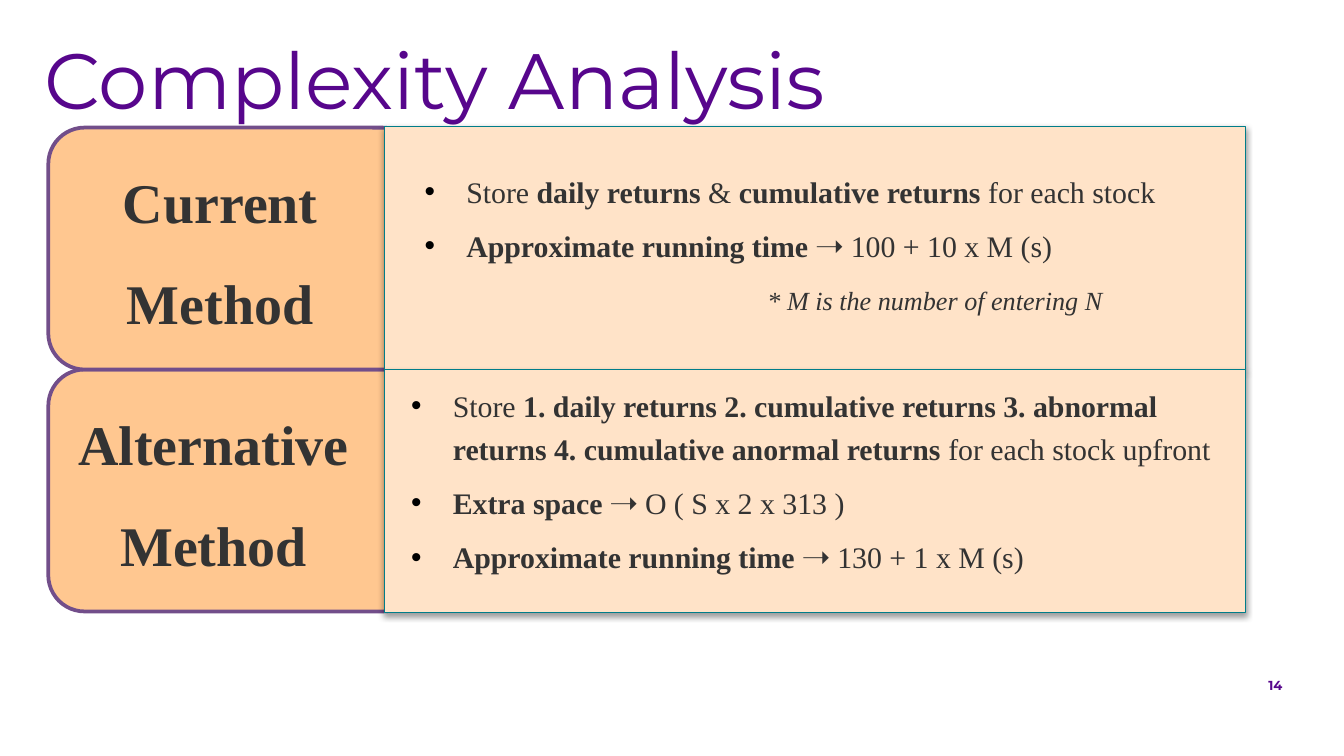
"""Build the Complexity Analysis slide comparing two methods."""
import pptx
import pptx.util
import pptx.dml.color
import pptx.enum.shapes
import pptx.enum.text
import pptx.oxml
import pptx.oxml.ns

TITLE, PAGE = "Complexity Analysis", "14"
ROWS = [
    {"name": "Current Method", "pad": (0, 0, 0.2, 0.2),
     "inset": (0.3, 0.1, 0.1, 0.2),
     "list": ["Store |daily returns |& |cumulative returns |for each stock",
              "|Approximate running time |➝ 100 + 10 x M (s)"],
     "note": "* M is the number of entering N"},
    {"name": "Alternative Method", "pad": (0, 0, 0.3, 0.2),
     "inset": (0.2, 0, 0, 0.2),
     "list": ["Store |1. daily returns 2. cumulative returns 3. abnormal "
              "returns 4. cumulative anormal returns |for each stock upfront",
              "|Extra space |➝ O ( S x 2 x 313 )",
              "|Approximate running time |➝ 130 + 1 x M (s)"],
     "note": ""},
]
WIDE = 10
SIZE = (WIDE, WIDE * 9 / 16)
TOP, ROW, STEP = 0.95, 1.8, 1.81
LABEL, PANEL = (0.36, 2.76), (2.86, 6.41)
SERIF, SANS = "Times New Roman", "Montserrat"
INK, VIOLET = "333333", "57068C"
LEAD = {"name": SERIF, "size": 30, "bold": True, "color": INK}
BODY = {"name": SERIF, "size": 16, "bold": False, "color": INK}
NOTE = {**BODY, "size": 14, "italic": True}
HEAD = {"name": SANS, "size": 42, "bold": False, "color": VIOLET}
FOOT = {"name": SANS, "size": 7, "bold": True, "color": VIOLET}
NS = pptx.oxml.ns.nsdecls("a")
BULLET = (f'<a:buClr {NS}><a:srgbClr val="000000"/></a:buClr>',
          f'<a:buFont {NS} typeface="Arial"/>',
          f'<a:buChar {NS} char="•"/>')
PLAIN = (f'<a:buNone {NS}/>',)
SHADE = (f'<a:effectLst {NS}><a:outerShdw blurRad="39370" dist="20320" '
         'dir="5400000" rotWithShape="0"><a:srgbClr val="000000">'
         '<a:alpha val="38000"/></a:srgbClr></a:outerShdw></a:effectLst>')
ALIGN, ANCHOR = pptx.enum.text.PP_ALIGN, pptx.enum.text.MSO_ANCHOR
inch, point = pptx.util.Inches, pptx.util.Pt


def tint(code):
    """Turn a hex string into a colour."""
    return pptx.dml.color.RGBColor.from_string(code)


def place(shape, *box):
    """Set left, top, width and height in inches."""
    for key, val in zip(("left", "top", "width", "height"), box):
        setattr(shape, key, inch(val))


def paint(shape, fill, line, width):
    """Give a shape its fill and outline."""
    shape.fill.solid()
    shape.fill.fore_color.rgb = tint(fill)
    shape.line.color.rgb = tint(line)
    shape.line.width = point(width)


def frame(shape, inset, anchor):
    """Set up the text frame and return it."""
    text = shape.text_frame
    text.word_wrap = True
    text.auto_size = pptx.enum.text.MSO_AUTO_SIZE.NONE
    text.vertical_anchor = anchor
    for side, val in zip(("left", "top", "right", "bottom"), inset):
        setattr(text, f"margin_{side}", inch(val))
    return text


def write(para, text, style, **form):
    """Add runs, bold between bars, and format the paragraph."""
    for key, val in {"space_before": point(0), **form}.items():
        setattr(para, key, val)
    for n, part in enumerate(text.split("|")):
        if part:
            run = para.add_run()
            run.text = part
            look = {**style, "bold": n % 2 == 1 or style["bold"]}
            run.font.color.rgb = tint(look.pop("color"))
            look["size"] = point(look["size"])
            for key, val in look.items():
                setattr(run.font, key, val)


def indent(para, left, hang, marks):
    """Set the indent and the bullet of a paragraph."""
    prop = para._p.get_or_add_pPr()
    prop.set("marL", str(inch(left)))
    prop.set("indent", str(inch(-hang)))
    for mark in marks:
        prop.append(pptx.oxml.parse_xml(mark))


def label(slide, row, top):
    """Draw the rounded name box of a row behind the panels."""
    kind = pptx.enum.shapes.MSO_SHAPE.ROUNDED_RECTANGLE
    shape = slide.shapes.add_shape(kind, 0, 0, 0, 0)
    place(shape, LABEL[0], top, LABEL[1], ROW)
    shape.adjustments[0] = 0.15
    shape.shadow.inherit = False
    paint(shape, "FFC790", "724E8A", 2)
    text = frame(shape, row["pad"], ANCHOR.MIDDLE)
    write(text.paragraphs[0], row["name"], LEAD,
          alignment=ALIGN.CENTER, line_spacing=1.5)
    slide.shapes._spTree.insert(2, shape._element)


def panel(shape, row, top):
    """Fill the list box of a row."""
    place(shape, PANEL[0], top, PANEL[1], STEP)
    paint(shape, "FFE3C8", "007D89", 0.75)
    shape._element.spPr.append(pptx.oxml.parse_xml(SHADE))
    text = frame(shape, row["inset"], ANCHOR.MIDDLE)
    items = [(item, BODY, 6, (0.31, 0.31, BULLET)) for item in row["list"]]
    if row["note"]:
        items.append((row["note"], NOTE, 8, (2.55, 0, PLAIN)))
    for n, (item, style, gap, dent) in enumerate(items):
        para = text.add_paragraph() if n else text.paragraphs[0]
        indent(para, *dent)
        write(para, item, style, line_spacing=1.2,
              space_before=point(gap if n else 0))


def main():
    """Build and save the slide."""
    deck = pptx.Presentation()
    deck.slide_width, deck.slide_height = map(inch, SIZE)
    slide = deck.slides.add_slide(deck.slide_layouts[3])
    title, *lists = slide.placeholders
    place(title, 0.23, 0.13, 7.74, 0.63)
    text = frame(title, (0.1,) * 4, ANCHOR.TOP)
    write(text.paragraphs[0], TITLE, HEAD, alignment=ALIGN.LEFT)
    for n, (shape, row) in enumerate(zip(lists, ROWS)):
        label(slide, row, TOP + n * ROW)
        panel(shape, row, TOP - 0.01 + n * STEP)
    foot = slide.shapes.add_textbox(0, 0, 0, 0)
    place(foot, 5.05, 4.94, 4.59, 0.34)
    text = frame(foot, (0.1,) * 4, ANCHOR.TOP)
    write(text.paragraphs[0], PAGE, FOOT, alignment=ALIGN.RIGHT)
    deck.save("out.pptx")


if __name__ == "__main__":
    main()
